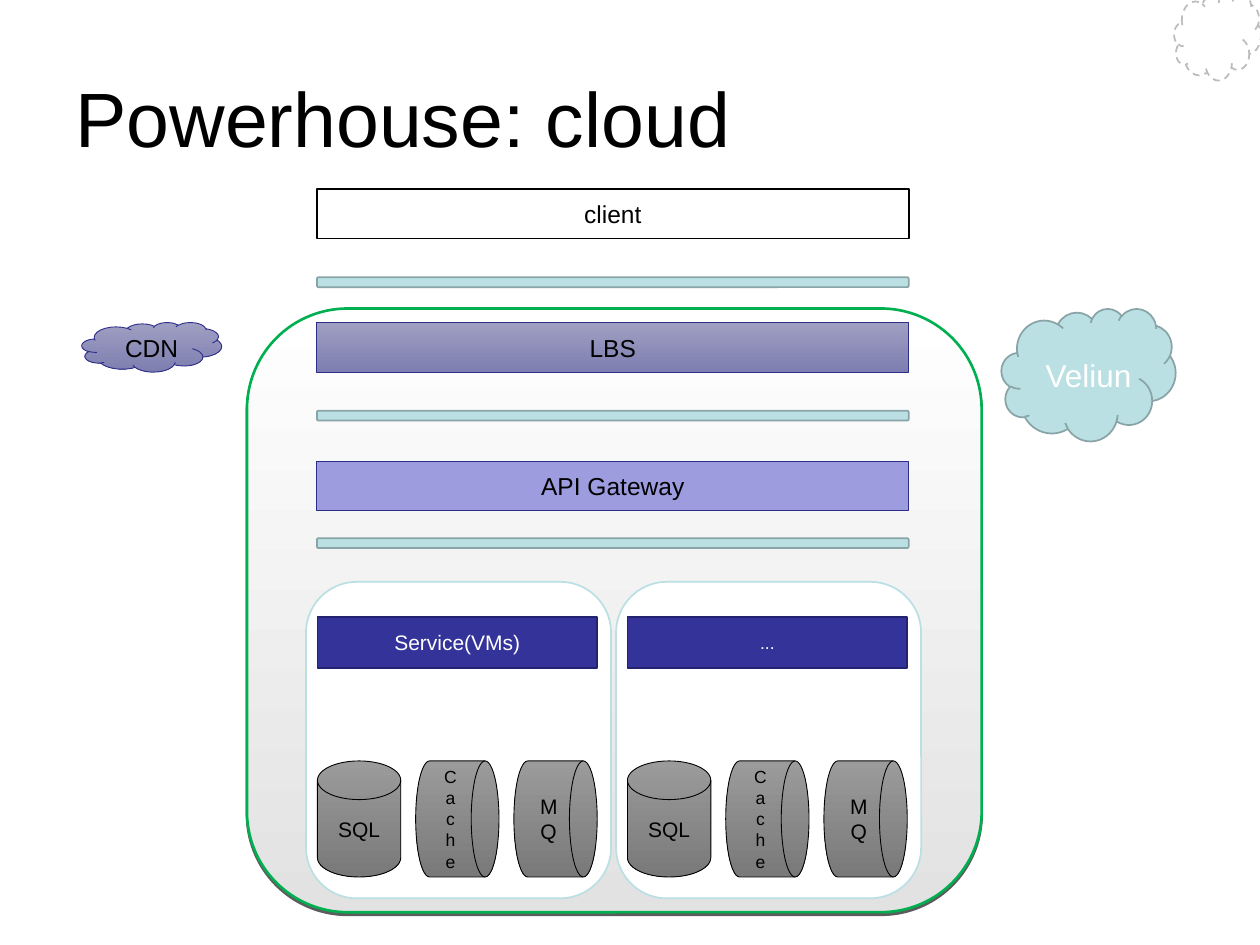
from dataclasses import dataclass

from lxml import etree
from pptx import Presentation
from pptx.dml.color import RGBColor
from pptx.enum.dml import MSO_LINE
from pptx.enum.shapes import MSO_SHAPE
from pptx.enum.text import MSO_ANCHOR, PP_ALIGN
from pptx.oxml.ns import qn
from pptx.util import Cm, Pt

RECT = MSO_SHAPE.FLOWCHART_PROCESS
ROUND = MSO_SHAPE.ROUNDED_RECTANGLE
FRAME = MSO_SHAPE.FLOWCHART_ALTERNATE_PROCESS
DISK = MSO_SHAPE.FLOWCHART_MAGNETIC_DISK
DRUM = MSO_SHAPE.FLOWCHART_DIRECT_ACCESS_STORAGE
CLOUD = MSO_SHAPE.CLOUD
DASH = MSO_LINE.DASH
MIDDLE = MSO_ANCHOR.MIDDLE
LEFT, CENTER = PP_ALIGN.LEFT, PP_ALIGN.CENTER


@dataclass(frozen=True)
class Theme:
    font: str = "Arial"
    black: str = "000000"
    white: str = "FFFFFF"
    green: str = "00B050"
    aqua: str = "BBE0E3"
    teal: str = "89A4A7"
    navy: str = "333399"
    ink: str = "23236F"
    lilac: str = "9C9CDF"
    edge: str = "2D2D8A"
    ash: str = "BCBCBC"
    fade: tuple = ("FFFFFF", "E2E2E2")
    steel: tuple = ("9B9B9B", "797979")
    haze: tuple = ("9F9FC3", "7E7EB0")
    title: int = 44
    large: int = 18
    body: int = 14
    small: int = 12
    tiny: int = 10


T = Theme()


def color(code):
    return RGBColor.from_string(code)


def write(shape, text, size, ink, align=CENTER):
    frame = shape.text_frame
    frame.word_wrap = True
    frame.vertical_anchor = MIDDLE
    para = frame.paragraphs[0]
    para.alignment = align
    run = para.add_run()
    run.text = text
    run.font.name = T.font
    run.font.size = Pt(size)
    run.font.color.rgb = color(ink)


def draw(slide, kind, box, fill, line, width=1):
    """Add a shape in a box of centimetres; a pair of fills is a gradient."""
    shape = slide.shapes.add_shape(kind, *map(Cm, box))
    shape.shadow.inherit = False
    if isinstance(fill, tuple):
        shape.fill.gradient()
        shape.fill.gradient_angle = 270
        for stop, code, place in zip(shape.fill.gradient_stops, fill, (0, 1)):
            stop.color.rgb = color(code)
            stop.position = place
    else:
        shape.fill.solid()
        shape.fill.fore_color.rgb = color(fill)
    shape.line.color.rgb = color(line)
    shape.line.width = Pt(width)
    return shape


def shade(shape):
    effects = shape._element.spPr.find(qn("a:effectLst"))
    outer = etree.SubElement(effects, qn("a:outerShdw"), blurRad="0",
                             dist=str(Pt(1.5)), dir="5400000", rotWithShape="0")
    tint = etree.SubElement(outer, qn("a:srgbClr"), val=T.black)
    etree.SubElement(tint, qn("a:alpha"), val="63000")


def add_title(slide, box):
    head = slide.shapes.add_textbox(*map(Cm, box))
    write(head, "Powerhouse: cloud", T.title, T.black, LEFT)


def add_cloud(slide, box, fill, line, width, text, size, ink):
    shape = draw(slide, CLOUD, box, fill, line, width)
    frame = shape.text_frame
    # The preset's text area sits up and left of the middle
    frame.margin_left, frame.margin_top = Cm(0.07 * box[2]), Cm(0.05 * box[3])
    frame.margin_right = frame.margin_bottom = 0
    write(shape, text, size, ink)


def add_layers(slide, box):
    x, y, w, h = box
    # Request path, top to bottom
    layers = (
        (0, "client", T.white, T.black, 1),
        (2.69, "LBS", T.haze, T.edge, 0.5),
        (5.49, "API Gateway", T.lilac, T.edge, 0.5),
    )
    for top, text, fill, line, width in layers:
        layer = draw(slide, RECT, (x, y + top, w, h), fill, line, width)
        write(layer, text, T.body, T.black)
    # Thin bars between the layers
    for top in (1.78, 4.47, 7.04):
        draw(slide, ROUND, (x, y + top, w, 0.2), T.aqua, T.teal)


def add_panel(slide, box, name, size):
    x, y, w, h = box
    draw(slide, ROUND, box, T.white, T.aqua)
    left = x + 0.23
    bar = draw(slide, RECT, (left, y + 0.71, 5.64, 1.02), T.navy, T.ink)
    write(bar, name, size, T.white)
    # Data stores
    stores = ((DISK, "SQL", T.small), (DRUM, "Cache", T.tiny), (DRUM, "MQ", T.small))
    for i, (kind, text, points) in enumerate(stores):
        place = (left + 1.98 * i, y + 3.61, 1.68, 2.34)
        store = draw(slide, kind, place, T.steel, T.black, 0.5)
        write(store, text, points, T.black)


def main():
    deck = Presentation()
    deck.slide_width, deck.slide_height = Cm(25.4), Cm(19.05)
    slide = deck.slides.add_slide(deck.slide_layouts[6])

    # Corner ornament
    puff = draw(slide, CLOUD, (23.67, -0.13, 1.75, 1.75), T.white, T.ash)
    puff.line.dash_style = DASH

    # Cloud boundary
    shade(draw(slide, FRAME, (4.98, 6.22, 14.81, 12.17), T.fade, T.green, 1.5))

    add_title(slide, (1.27, 0.76, 22.86, 3.18))
    for i, (name, size) in enumerate((("Service(VMs)", T.small), ("...", T.tiny))):
        add_panel(slide, (6.17 + 6.25 * i, 11.73, 6.15, 6.38), name, size)
    add_layers(slide, (6.39, 3.81, 11.93, 1))

    # Provider and content network
    add_cloud(slide, (20.19, 6.22, 3.51, 2.67), T.aqua, T.teal, 1,
              "Veliun", T.large, T.white)
    add_cloud(slide, (1.65, 6.5, 2.82, 1), T.haze, T.edge, 0.5,
              "CDN", T.body, T.black)
    deck.save("out.pptx")


if __name__ == "__main__":
    main()
